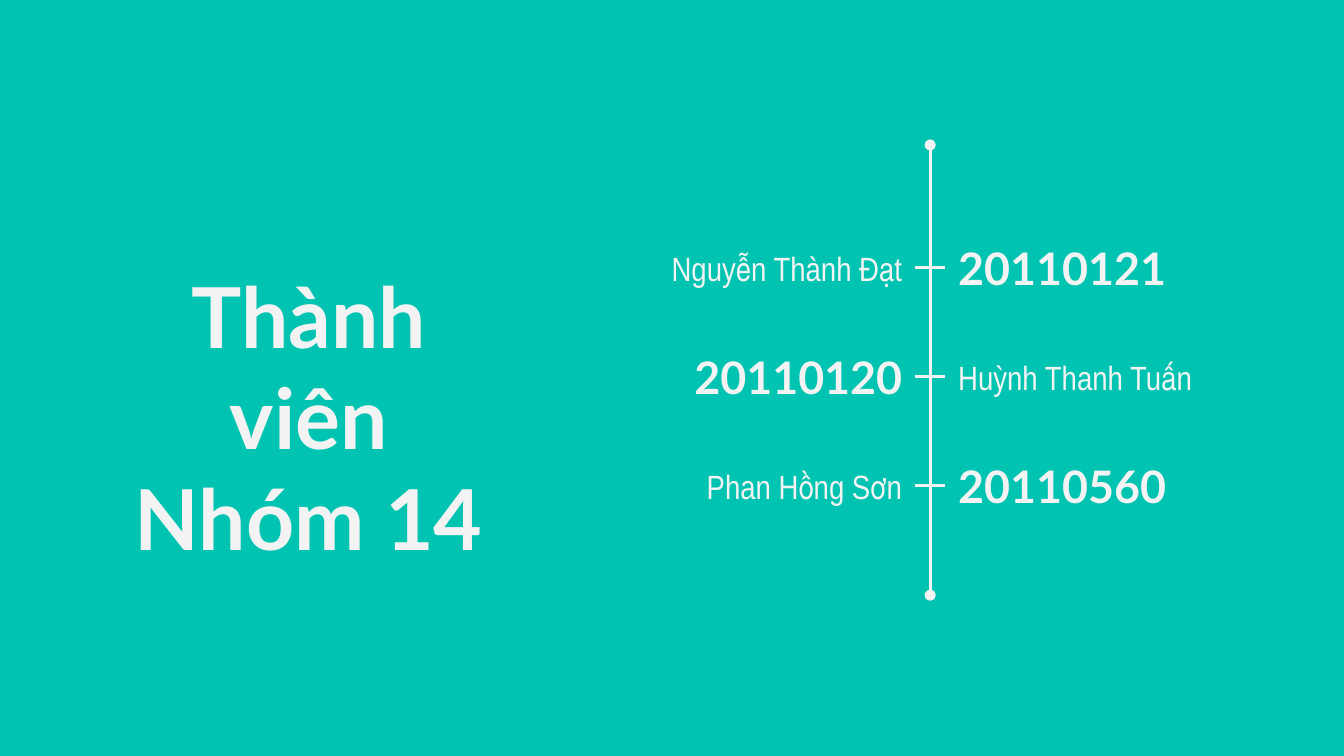
"""Build the slide listing the members of group 14 along a vertical timeline."""
from dataclasses import dataclass

import pptx
import pptx.dml.color
import pptx.enum.shapes
import pptx.enum.text
import pptx.oxml.ns
import pptx.util
from lxml import etree

Cm, Pt = pptx.util.Cm, pptx.util.Pt
RGBColor = pptx.dml.color.RGBColor
PP_ALIGN = pptx.enum.text.PP_ALIGN
MSO_ANCHOR = pptx.enum.text.MSO_ANCHOR
qn = pptx.oxml.ns.qn


@dataclass(frozen=True)
class Theme:
    background: RGBColor = RGBColor(0x00, 0xC3, 0xB1)
    ink: RGBColor = RGBColor(0xF3, 0xF3, 0xF3)
    title: tuple = ("Lato", 45, True)
    number: tuple = ("Lato", 24, True)
    name: tuple = ("Arial Narrow", 18, False)
    line: float = 1.5


theme = Theme()


def add_text(x, y, w, h, lines, style, align, anchor):
    tf = s.shapes.add_textbox(Cm(x), Cm(y), Cm(w), Cm(h)).text_frame
    tf.word_wrap = True
    tf.vertical_anchor = anchor
    tf.margin_left = tf.margin_right = tf.margin_top = tf.margin_bottom = Cm(0.25)
    p = tf.paragraphs[0]
    p.alignment = align
    for i, line in enumerate(lines):
        if i:
            p.add_line_break()
        r = p.add_run()
        r.text = line
        r.font.name, size, r.font.bold = style
        r.font.size = Pt(size)
        r.font.color.rgb = theme.ink


def add_line(x1, y1, x2, y2, ends=()):
    sp = s.shapes.add_connector(
        pptx.enum.shapes.MSO_CONNECTOR.STRAIGHT, Cm(x1), Cm(y1), Cm(x2), Cm(y2))
    sp.line.color.rgb = theme.ink
    sp.line.width = Pt(theme.line)
    ln = sp.line._get_or_add_ln()
    for end in ends:
        etree.SubElement(ln, qn(end), type="oval", w="med", len="med")
    etree.SubElement(sp._element.spPr, qn("a:effectLst"))


prs = pptx.Presentation()
prs.slide_width, prs.slide_height = Cm(25.4), Cm(14.29)
s = prs.slides.add_slide(prs.slide_layouts[6])
s.background.fill.solid()
s.background.fill.fore_color.rgb = theme.background

add_text(2, 4.75, 7.67, 2.4, ["Thành viên", "Nhóm 14"], theme.title,
         PP_ALIGN.CENTER, MSO_ANCHOR.TOP)

axis_x, tick = 17.58, 0.28
box_w, box_h = 5.74, 1.75
first_y, pitch = 5.06, 2.06
add_line(axis_x, 2.74, axis_x, 11.25, ("a:headEnd", "a:tailEnd"))

rows = [
    (("Nguyễn Thành Đạt", theme.name), ("20110121", theme.number)),
    (("20110120", theme.number), ("Huỳnh Thanh Tuấn", theme.name)),
    (("Phan Hồng Sơn", theme.name), ("20110560", theme.number)),
]
sides = [
    (axis_x - tick - box_w, PP_ALIGN.RIGHT),
    (axis_x + tick, PP_ALIGN.LEFT),
]
for i, row in enumerate(rows):
    y = first_y + i * pitch
    add_line(axis_x - tick, y, axis_x + tick, y)
    for (text, style), (x, align) in zip(row, sides):
        add_text(x, y - box_h / 2, box_w, box_h, [text], style, align, MSO_ANCHOR.MIDDLE)

prs.save("out.pptx")
